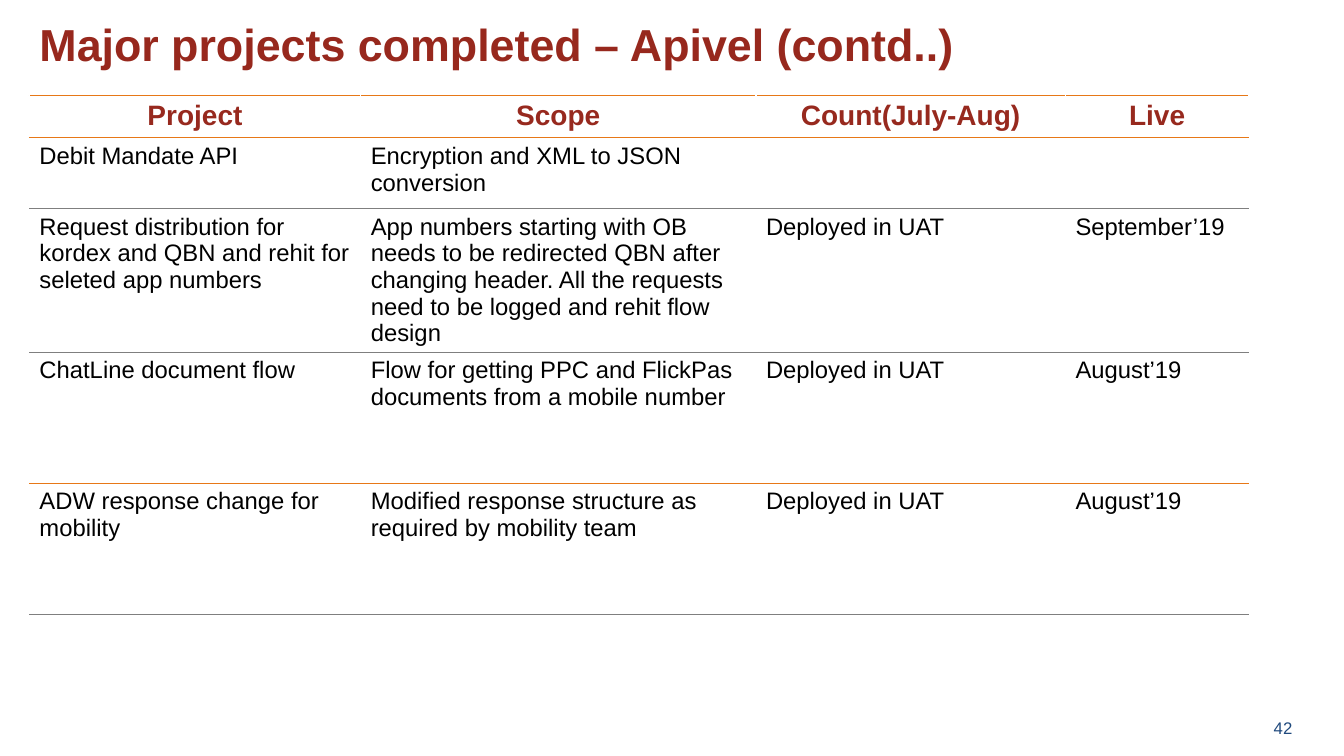
from lxml import etree
from pptx import Presentation
from pptx import util as u
from pptx.dml.color import RGBColor
from pptx.enum import text
from pptx.oxml import ns

COLORS = {"title": "97281D", "heading": "97291E", "body": "000000", "number": "1F497D",
          "orange": "E77817", "grey": "7F7F7F", "white": "FFFFFF"}
NO_GRID_STYLE = "{2D5ABB26-0587-4C30-8999-92F81FD0307C}"
HEADERS = ["Project", "Scope", "Count(July-Aug)", "Live"]
PROJECTS = [
    ["Debit Mandate API", "Encryption and XML to JSON conversion", "", ""],
    ["Request distribution for kordex and QBN and rehit for seleted app numbers",
     "App numbers starting with OB needs to be redirected QBN after changing header. "
     "All the requests need to be logged and rehit flow design",
     "Deployed in UAT", "September’19"],
    ["ChatLine document flow",
     "Flow for getting PPC and FlickPas documents from a mobile number",
     "Deployed in UAT", "August’19"],
    ["ADW response change for mobility",
     "Modified response structure as required by mobility team",
     "Deployed in UAT", "August’19"],
]
COLUMN_WIDTHS = [8.35, 9.96, 7.8, 4.62]
ROW_HEIGHTS = [1.07, 1.78, 3.3, 3.3, 3.3]
RULES = [("orange", 1), ("orange", 1), ("grey", 0.5), ("grey", 0.5), ("orange", 0.5), ("grey", 0.5)]


class ProjectSlide:
    """Holds the text styles and the current slide."""

    styles = {
        "title": {"size": u.Pt(32), "bold": True},
        "heading": {"size": u.Pt(20), "bold": True},
        "body": {"size": u.Pt(17), "bold": False},
        "number": {"size": u.Pt(12), "bold": False},
    }

    def __init__(self, presentation):
        """Add a slide that has only a title placeholder."""
        self.slide = presentation.slides.add_slide(presentation.slide_layouts[5])

    def set_text(self, frame, words, style, alignment):
        """Fill a text frame with one styled paragraph."""
        paragraph = frame.paragraphs[0]
        paragraph.text = words
        paragraph.alignment = alignment
        for name, value in {"name": "Arial", **self.styles[style]}.items():
            setattr(paragraph.font, name, value)
        paragraph.font.color.rgb = RGBColor.from_string(COLORS[style])

    def place(self, shape, left, top, width, height, anchor):
        """Position a text shape and set its frame."""
        box = {"left": left, "top": top, "width": width, "height": height}
        for name, value in box.items():
            setattr(shape, name, u.Cm(value))
        frame = shape.text_frame
        settings = {"word_wrap": True, "auto_size": text.MSO_AUTO_SIZE.NONE,
                    "vertical_anchor": anchor}
        for name, value in settings.items():
            setattr(frame, name, value)
        return frame

    def title(self, words):
        """Set the slide title."""
        frame = self.place(self.slide.shapes.title, 0.74, 0.3, 32.46, 2.08, text.MSO_ANCHOR.TOP)
        self.set_text(frame, words, "title", text.PP_ALIGN.LEFT)

    def page_number(self, words):
        """Set the page number at the bottom right."""
        shape = self.slide.shapes.add_textbox(0, 0, 0, 0)
        frame = self.place(shape, 31.12, 17.83, 1.7, 1.02, text.MSO_ANCHOR.MIDDLE)
        self.set_text(frame, words, "number", text.PP_ALIGN.RIGHT)

    def border(self, cell, side, color, width):
        """Draw one side of a table cell."""
        line = etree.SubElement(cell._tc.get_or_add_tcPr(), ns.qn(f"a:ln{side}"),
                                w=str(u.Pt(width)))
        fill = etree.SubElement(line, ns.qn("a:solidFill"))
        etree.SubElement(fill, ns.qn("a:srgbClr"), val=COLORS[color])

    def table(self, rows, left, top):
        """Add the ruled project table."""
        frame = self.slide.shapes.add_table(
            len(rows), len(COLUMN_WIDTHS), u.Cm(left), u.Cm(top),
            u.Cm(sum(COLUMN_WIDTHS)), u.Cm(sum(ROW_HEIGHTS)))
        table = frame.table
        table._tbl.tblPr.find(ns.qn("a:tableStyleId")).text = NO_GRID_STYLE
        for name in ("first_row", "horz_banding"):
            setattr(table, name, False)
        for column, width in zip(table.columns, COLUMN_WIDTHS):
            column.width = u.Cm(width)
        for index, (row, height) in enumerate(zip(table.rows, ROW_HEIGHTS)):
            row.height = u.Cm(height)
            style, alignment = (("body", text.PP_ALIGN.LEFT) if index
                                else ("heading", text.PP_ALIGN.CENTER))
            for cell, words in zip(row.cells, rows[index]):
                self.set_text(cell.text_frame, words, style, alignment)
                if index == 0:
                    for side in "LR":
                        self.border(cell, side, "white", 1)
                self.border(cell, "T", *RULES[index])
                self.border(cell, "B", *RULES[index + 1])
                cell.fill.background()


def main():
    """Build and save the presentation."""
    presentation = Presentation()
    presentation.slide_width, presentation.slide_height = u.Cm(33.87), u.Cm(19.05)
    slide = ProjectSlide(presentation)
    slide.title("Major projects completed – Apivel (contd..)")
    slide.page_number("42")
    slide.table([HEADERS, *PROJECTS], 0.74, 2.4)
    presentation.save("out.pptx")


if __name__ == "__main__":
    main()
